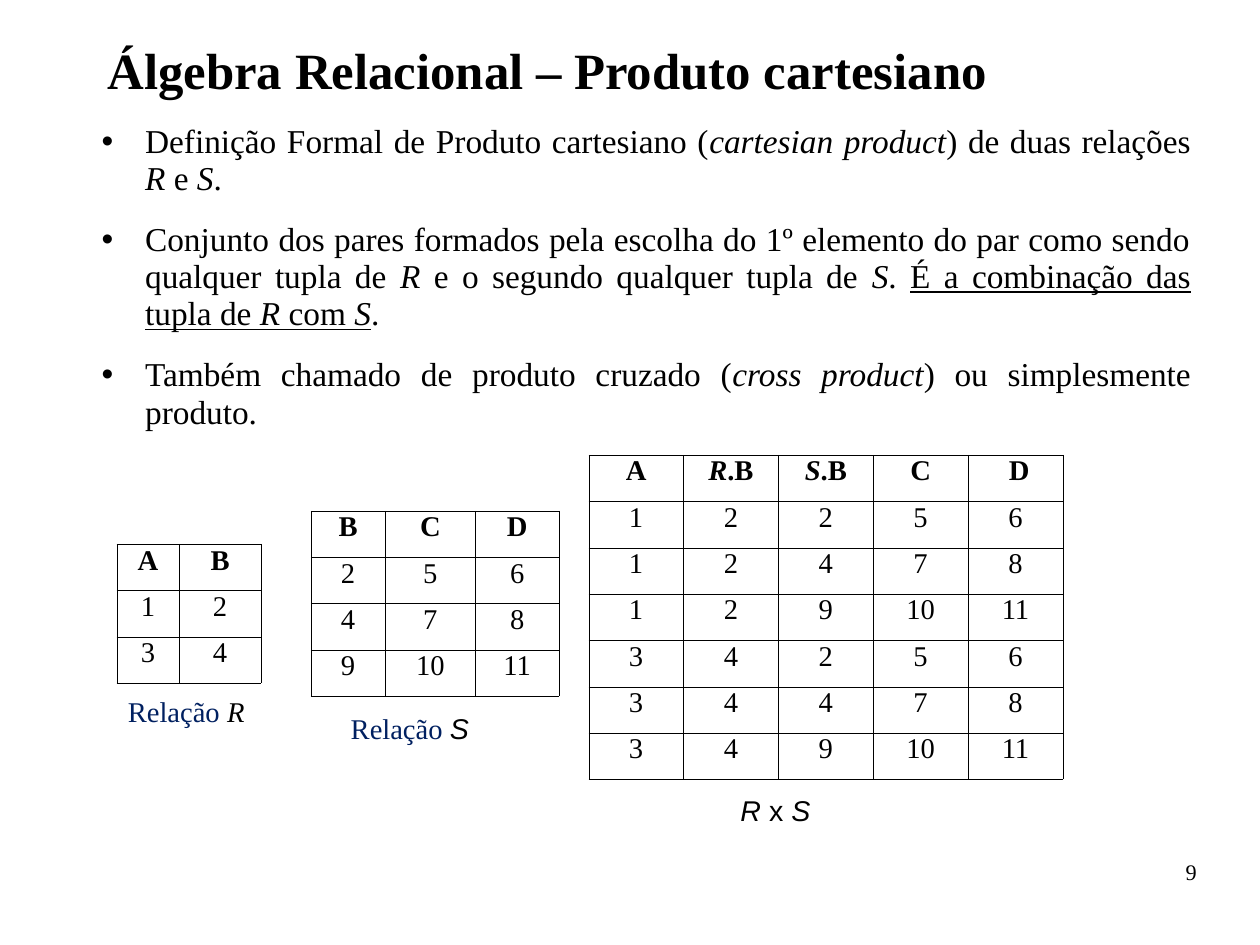
from itertools import product

from lxml import etree
from pptx import Presentation
from pptx import util as u
from pptx.dml.color import RGBColor
from pptx.enum import text
from pptx.oxml import ns

# Content: *...* is italic, _..._ is underlined
TITLE = "Álgebra Relacional – Produto cartesiano"
BULLETS = [
    "Definição Formal de Produto cartesiano (*cartesian product*) de duas relações *R* e *S*.",
    "Conjunto dos pares formados pela escolha do 1º elemento do par como sendo qualquer "
    "tupla de *R* e o segundo qualquer tupla de *S*. "
    "_É a combinação das tupla de *R* com *S*_.",
    "Também chamado de produto cruzado (*cross product*) ou simplesmente produto.",
]
R = [(1, 2), (3, 4)]
S = [(2, 5, 6), (4, 7, 8), (9, 10, 11)]
R_X_S = [r + s for r, s in product(R, S)]
# header, tuples, left, top, height, column widths
RELATIONS = [
    (("A", "B"), R, 1.02, 4.76, 1.22, (0.55, 0.71)),
    (("B", "C", "D"), S, 2.72, 4.47, 1.62, (0.65, 0.79, 0.73)),
    (("A", "*R*.B", "*S*.B", "C", " D"), R_X_S, 5.15, 3.98, 2.84, (0.83,) * 5),
]
# caption, left, top, width, font, font of the italic part, colour
CAPTIONS = [
    ("Relação *R*", 1.02, 6.02, 1.42, "Times New Roman", "Times New Roman", "002060"),
    ("Relação *S*", 2.97, 6.17, 1.42, "Times New Roman", "Arial", "002060"),
    ("*R* x *S*", 6.38, 6.89, 1.81, "Arial", "Arial", "000000"),
]
PAGE = "9"

ALIGN = text.PP_ALIGN


def color(value):
    return RGBColor.from_string(value)


def add_bullet(paragraph):
    props = paragraph._p.get_or_add_pPr()
    props.set("marL", str(u.Inches(0.38)))
    props.set("indent", str(u.Inches(-0.38)))
    bullet_color = etree.SubElement(props, ns.qn("a:buClr"))
    etree.SubElement(bullet_color, ns.qn("a:srgbClr"), val="000000")
    etree.SubElement(props, ns.qn("a:buFont"), typeface="Arial")
    etree.SubElement(props, ns.qn("a:buChar"), char="•")


def write(frame, lines, size=18, font="Times New Roman", italic_font=None, fill="000000",
          bold=False, align=ALIGN.LEFT, spacing=None, after=0.4, bullet=False,
          margins=(0.1, 0.05, 0.1, 0.05)):
    frame.word_wrap = True
    frame.margin_left, frame.margin_top, frame.margin_right, frame.margin_bottom = map(
        u.Inches, margins)
    for index, line in enumerate(lines):
        paragraph = frame.add_paragraph() if index else frame.paragraphs[0]
        if bullet:
            add_bullet(paragraph)
        paragraph.alignment = align
        paragraph.line_spacing = spacing
        paragraph.space_before = u.Pt(0.4 if index else 0)
        paragraph.space_after = u.Pt(after)
        underlined = False
        for i, part in enumerate(line.split("*")):
            italic = i % 2 == 1
            for j, piece in enumerate(part.split("_")):
                if j:
                    underlined = not underlined
                if not piece:
                    continue
                run = paragraph.add_run()
                run.text = piece
                run.font.size = u.Pt(size)
                run.font.name = italic_font if italic and italic_font else font
                run.font.bold, run.font.italic = bold, italic
                run.font.underline = underlined
                run.font.color.rgb = color("000000" if italic else fill)


def add_text(left, top, width, height, lines, **style):
    box = slide.shapes.add_textbox(*map(u.Inches, (left, top, width, height)))
    write(box.text_frame, lines, **style)
    return box


def add_borders(cell):
    props = cell._tc.get_or_add_tcPr()
    for side in ("lnL", "lnR", "lnT", "lnB"):
        line = etree.SubElement(props, ns.qn(f"a:{side}"), w=str(u.Pt(0.06)))
        line_fill = etree.SubElement(line, ns.qn("a:solidFill"))
        etree.SubElement(line_fill, ns.qn("a:srgbClr"), val="000000")


def add_relation(header, tuples, left, top, height, widths):
    rows = [header, *tuples]
    table = slide.shapes.add_table(
        len(rows), len(widths),
        *map(u.Inches, (left, top, sum(widths), height))).table
    table.first_row = table.horz_banding = False
    for column, width in zip(table.columns, widths):
        column.width = u.Inches(width)
    for i, values in enumerate(rows):
        table.rows[i].height = u.Inches(height / len(rows))
        for j, value in enumerate(values):
            cell = table.cell(i, j)
            add_borders(cell)
            cell.fill.background()
            write(cell.text_frame, [str(value)], bold=i == 0,
                  align=ALIGN.CENTER, spacing=0.8)


# Slide of 28 by 21 cm
prs = Presentation()
prs.slide_width, prs.slide_height = u.Cm(28), u.Cm(21)
slide = prs.slides.add_slide(prs.slide_layouts[5])

# Title
title = slide.shapes.title
title.left, title.top, title.width, title.height = map(u.Inches, (0.94, 0.39, 9.53, 0.67))
title.text_frame.vertical_anchor = text.MSO_ANCHOR.TOP
title.text_frame.auto_size = text.MSO_AUTO_SIZE.NONE
write(title.text_frame, [TITLE], size=32, bold=True, spacing=0.93, margins=(0, 0, 0, 0))

# Definition and page number
add_text(0.89, 1.06, 9.53, 5.98, BULLETS, size=21, align=ALIGN.JUSTIFY, spacing=0.93,
         after=14.6, bullet=True, margins=(0, 0.02, 0, 0))
add_text(7.9, 7.53, 2.57, 0.57, [PAGE], size=14, align=ALIGN.RIGHT, spacing=0.95,
         margins=(0, 0, 0, 0))

# Relations and their captions
for relation in RELATIONS:
    add_relation(*relation)
for caption, left, top, width, font, italic_font, fill in CAPTIONS:
    box = add_text(left, top, width, 0.4, [caption], font=font,
                   italic_font=italic_font, fill=fill)
    box.text_frame.auto_size = text.MSO_AUTO_SIZE.SHAPE_TO_FIT_TEXT

prs.save("out.pptx")
